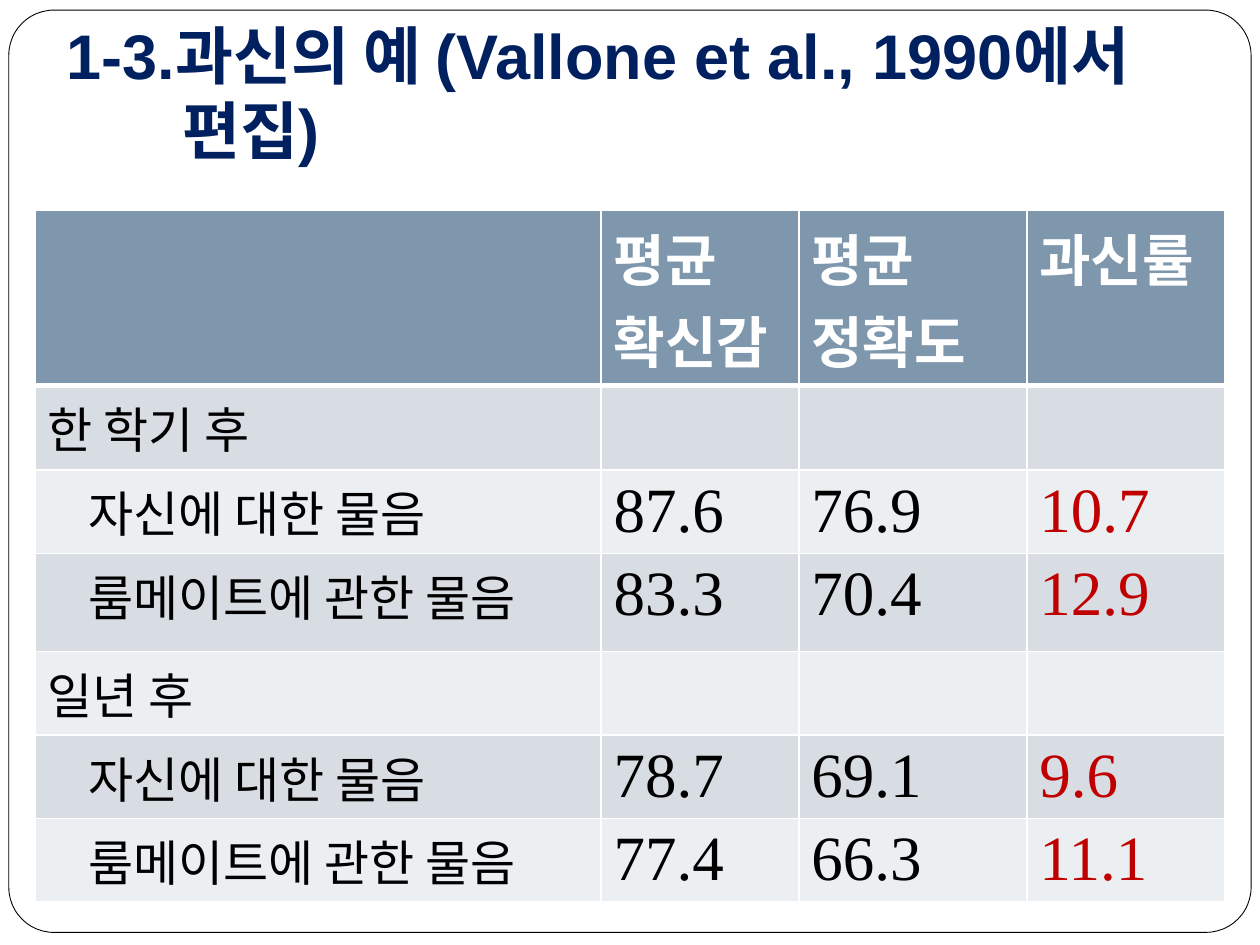
from pptx import Presentation
from pptx.dml.color import RGBColor as RGB
from pptx.enum.shapes import MSO_SHAPE as Shape
from pptx.enum.text import MSO_ANCHOR as Anchor, MSO_AUTO_SIZE as Fit, PP_ALIGN as Align
from pptx.oxml import parse_xml
from pptx.oxml.ns import nsdecls
from pptx.util import Inches, Pt

NAVY = RGB(0x00, 0x20, 0x60)
STEEL = RGB(0x7E, 0x97, 0xAD)
MIST = RGB(0xD8, 0xDD, 0xE3)
PALE = RGB(0xEC, 0xEF, 0xF1)
WHITE = RGB(0xFF, 0xFF, 0xFF)
BLACK = RGB(0x00, 0x00, 0x00)
RED = RGB(0xC0, 0x00, 0x00)

TITLE = "1-3.과신의 예 (Vallone et al., 1990에서 편집)"
SELF, MATE = "자신에 대한 물음", "룸메이트에 관한 물음"
ROWS = [
    ("", "평균\n확신감", "평균\n정확도", "과신률"),
    ("한 학기 후", "", "", ""),
    (SELF, "87.6", "76.9", "10.7"),
    (MATE, "83.3", "70.4", "12.9"),
    ("일년 후", "", "", ""),
    (SELF, "78.7", "69.1", "9.6"),
    (MATE, "77.4", "66.3", "11.1"),
]
WIDTHS = [4.49, 1.57, 1.81, 1.57]
HEIGHTS = [1.37, 0.67, 0.66, 0.78, 0.66, 0.66, 0.66]


def style(frame, face, size, color, bold):
    """Format every run of a text frame."""
    for para in frame.paragraphs:
        for run in para.runs:
            font = run.font
            font.name, font.size, font.bold = face, Pt(size), bold
            font.color.rgb = color


def add_frame(slide):
    """Draw the rounded page border behind everything else."""
    shape = slide.shapes.add_shape(
        Shape.ROUNDED_RECTANGLE, Inches(0.07), Inches(0.08), Inches(9.86), Inches(7.32))
    shape.adjustments[0] = 0.049
    shape.shadow.inherit = False
    shape.fill.solid()
    shape.fill.fore_color.rgb = WHITE
    shape.line.color.rgb = BLACK
    shape.line.width = Pt(0.5)
    slide.shapes.element.insert(2, shape.element)


def add_title(slide):
    """Fill the title placeholder with a hanging heading."""
    title = slide.shapes.title
    title.left, title.top = Inches(0.43), Inches(0.68)
    title.width, title.height = Inches(9.02), Inches(0.75)
    frame = title.text_frame
    frame.text = TITLE
    frame.word_wrap, frame.auto_size = True, Fit.NONE
    frame.vertical_anchor = Anchor.BOTTOM
    frame.margin_bottom = Inches(0.1)
    para = frame.paragraphs[0]
    para.alignment = Align.LEFT
    props = para._p.get_or_add_pPr()
    props.set("marL", str(Inches(0.92)))
    props.set("indent", str(-Inches(0.92)))
    style(frame, "Arial", 36, NAVY, True)


def add_edge(cell, side, width):
    """Give one side of a cell a white border."""
    cell._tc.get_or_add_tcPr().append(parse_xml(
        f'<a:ln{side} {nsdecls("a")} w="{Pt(width)}"><a:solidFill>'
        f'<a:srgbClr val="{WHITE}"/></a:solidFill></a:ln{side}>'))


def fill_cell(cell, text, row, col):
    """Write and colour a cell by its place in the table."""
    head = row == 0
    for side in "LRTB":
        thick = (head and side == "B") or (row == 1 and side == "T")
        add_edge(cell, side, 3 if thick else 1)
    cell.fill.solid()
    cell.fill.fore_color.rgb = STEEL if head else MIST if row % 2 else PALE
    cell.text = text
    if text in (SELF, MATE):
        cell.margin_left = Inches(0.42)
    size = 32 if head else 36 if col else 28
    color = WHITE if head else RED if col == 3 else BLACK
    style(cell.text_frame, "Times New Roman", size, color, head)


def add_grid(slide):
    """Build the table of confidence and accuracy."""
    table = slide.shapes.add_table(
        len(ROWS), len(WIDTHS), Inches(0.28), Inches(1.67),
        Inches(sum(WIDTHS)), Inches(sum(HEIGHTS))).table
    for col, width in zip(table.columns, WIDTHS):
        col.width = Inches(width)
    for row, height in zip(table.rows, HEIGHTS):
        row.height = Inches(height)
    for i, texts in enumerate(ROWS):
        for j, text in enumerate(texts):
            fill_cell(table.cell(i, j), text, i, j)


def main():
    """Build the slide and save it."""
    deck = Presentation()
    deck.slide_width, deck.slide_height = Inches(10), Inches(7.5)
    slide = deck.slides.add_slide(deck.slide_layouts[5])
    add_frame(slide)
    add_title(slide)
    add_grid(slide)
    deck.save("out.pptx")


if __name__ == "__main__":
    main()
